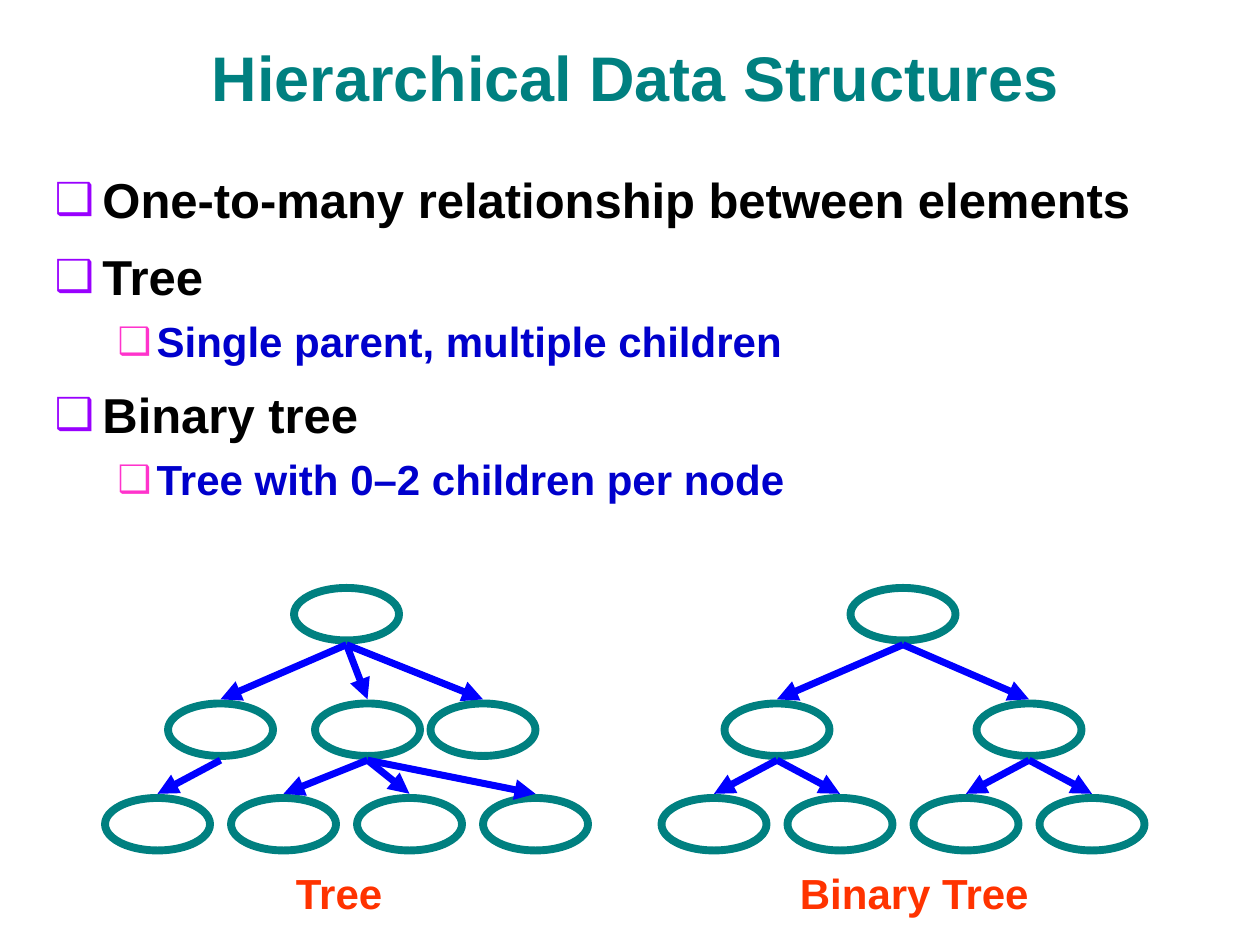
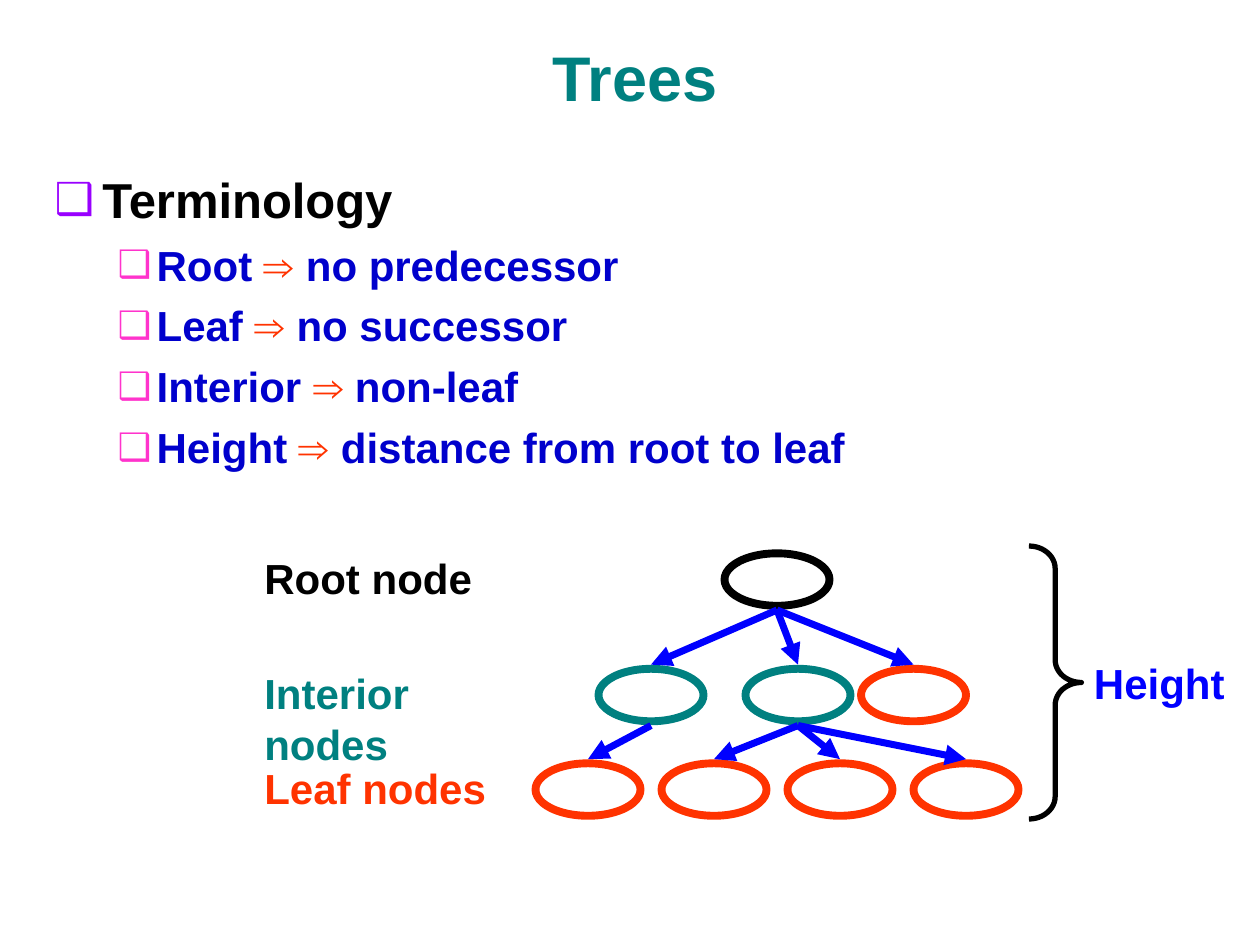
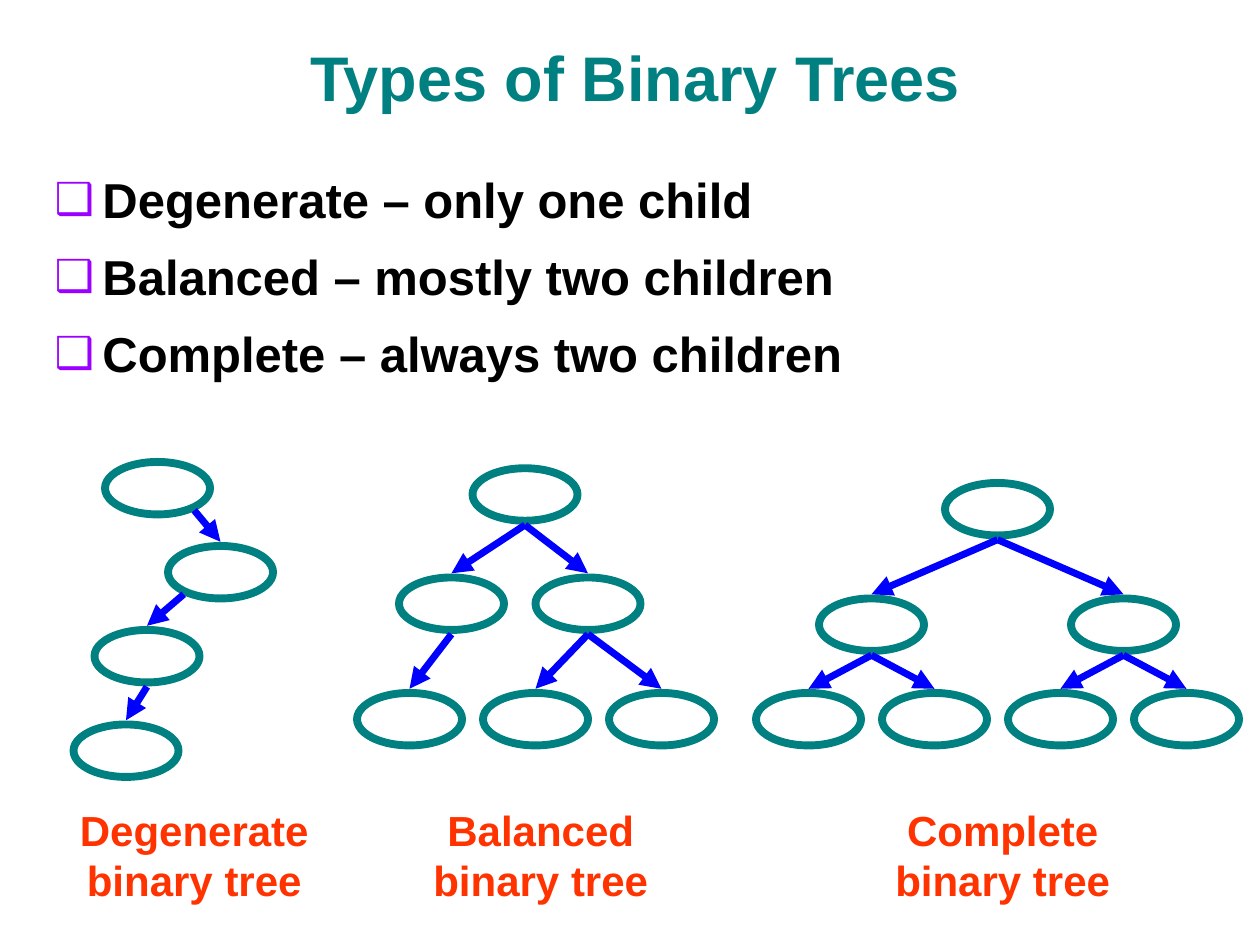
from lxml import etree
from pptx import Presentation
from pptx.dml.color import RGBColor
from pptx.enum.shapes import MSO_CONNECTOR, MSO_SHAPE
from pptx.enum.text import MSO_ANCHOR, MSO_AUTO_SIZE, PP_ALIGN
from pptx.oxml.ns import qn
from pptx.util import Inches, Pt

OVAL, BRACE = MSO_SHAPE.OVAL, MSO_SHAPE.RIGHT_BRACE
STRAIGHT = MSO_CONNECTOR.STRAIGHT
LEFT, CENTER = PP_ALIGN.LEFT, PP_ALIGN.CENTER
TOP, BOTTOM = MSO_ANCHOR.TOP, MSO_ANCHOR.BOTTOM
FIXED, GROW = MSO_AUTO_SIZE.NONE, MSO_AUTO_SIZE.SHAPE_TO_FIT_TEXT

FONT = "Arial"
BLACK = RGBColor(0x00, 0x00, 0x00)
TEAL = RGBColor(0x00, 0x80, 0x80)
BLUE = RGBColor(0x00, 0x00, 0xFF)
NAVY = RGBColor(0x00, 0x00, 0xCC)
ORANGE = RGBColor(0xFF, 0x33, 0x00)
VIOLET = RGBColor(0x99, 0x00, 0xFF)
PINK = RGBColor(0xFF, 0x33, 0xCC)

# Grid of 12 cells to the inch; a node is 10 columns by 5 rows
NODE_W, NODE_H = 10, 5
LEAF_STEP = 12
ARROW_GAP = 0.4
IMPLIES = "⇒ "

# Per list level: text size, colour, bullet colour, margin, indent, spacing
LEVELS = [
    dict(size=28, color=BLACK, bullet=VIOLET, margin=0.38, hang=0.38, before=7, line=1.1),
    dict(size=24, color=NAVY, bullet=PINK, margin=0.81, hang=0.31, before=6, line=1.0),
]

# Tree shapes: node places (column, row) and links (parent, child, side of parent)
LEAVES = [(i * LEAF_STEP, 20) for i in range(4)]
GENERAL_NODES = [(18, 0), (6, 11), (20, 11), (31, 11)] + LEAVES
GENERAL_LINKS = [(0, 1, 0), (0, 2, 0), (0, 3, 0),
                 (1, 4, 0), (2, 5, 0), (2, 6, 0), (2, 7, 0)]
COMPLETE_NODES = [(18, 0), (6, 11), (30, 11)] + LEAVES
COMPLETE_LINKS = [(0, 1, 0), (0, 2, 0),
                  (1, 3, 0), (1, 4, 0), (2, 5, 0), (2, 6, 0)]
BALANCED_NODES = [(11, 0), (4, 10.4), (17, 10.4)] + [(c, 21.4) for c, _ in LEAVES[:3]]
BALANCED_LINKS = [(0, 1, 0), (0, 2, 0), (1, 3, 0), (2, 4, 0), (2, 5, 0)]
DEGENERATE_NODES = [(3, 0), (9, 8), (2, 16), (0, 25)]
DEGENERATE_LINKS = [(0, 1, 1), (1, 2, -1), (2, 3, 0)]


def cells(*counts):
    return [Inches(count / 12) for count in counts]


def place(shape, *box):
    shape.left, shape.top, shape.width, shape.height = cells(*box)


def write(paragraph, text, size=24, color=BLACK, align=LEFT):
    paragraph.alignment = align
    run = paragraph.add_run()
    run.text = text
    run.font.name, run.font.size, run.font.bold = FONT, Pt(size), True
    run.font.color.rgb = color


def set_bullet(paragraph, level):
    properties = paragraph._p.get_or_add_pPr()
    properties.set("marL", str(Inches(level["margin"])))
    properties.set("indent", str(-Inches(level["hang"])))
    color = etree.SubElement(properties, qn("a:buClr"))
    etree.SubElement(color, qn("a:srgbClr"), val=str(level["bullet"]))
    etree.SubElement(properties, qn("a:buSzPct"), val="90000")
    etree.SubElement(properties, qn("a:buFont"), typeface=FONT)
    etree.SubElement(properties, qn("a:buChar"), char="❑")


def add_topic_slide(deck, title, items):
    """Slide with a title and a list of (level, text pieces)."""
    slide = deck.slides.add_slide(deck.slide_layouts[1])
    heading, body = slide.shapes.title, slide.placeholders[1]
    place(heading, 4, 2, 113, 9.5)
    place(body, 4, 15, 113, 70)
    for holder, anchor in ((heading, BOTTOM), (body, TOP)):
        holder.text_frame.auto_size = FIXED
        holder.text_frame.vertical_anchor = anchor
    write(heading.text_frame.paragraphs[0], title, size=36, color=TEAL, align=CENTER)

    for index, (depth, *pieces) in enumerate(items):
        frame, level = body.text_frame, LEVELS[depth]
        paragraph = frame.add_paragraph() if index else frame.paragraphs[0]
        paragraph.level = depth
        paragraph.line_spacing = level["line"]
        paragraph.space_before = Pt(level["before"])
        set_bullet(paragraph, level)
        for piece in pieces:
            color = ORANGE if piece == IMPLIES else level["color"]
            write(paragraph, piece, size=level["size"], color=color)
    return slide


def add_label(slide, text, col, row, width, color=ORANGE, wrap=False):
    label = slide.shapes.add_textbox(*cells(col, row, width, 10.8 if wrap else 6))
    label.text_frame.word_wrap = wrap
    label.text_frame.auto_size = GROW
    write(label.text_frame.paragraphs[0], text, color=color, align=CENTER if wrap else LEFT)


def add_outline(slide, kind, box, color, weight):
    shape = slide.shapes.add_shape(kind, *cells(*box))
    shape.shadow.inherit = False
    shape.fill.background()
    shape.line.color.rgb = color
    shape.line.width = Pt(weight)
    return shape


def add_arrow(slide, start, end):
    arrow = slide.shapes.add_connector(STRAIGHT, *cells(*start, *end))
    arrow.line.color.rgb = BLUE
    arrow.line.width = Pt(4)
    etree.SubElement(arrow.line._get_or_add_ln(), qn("a:tailEnd"), type="triangle")
    etree.SubElement(arrow._element.spPr, qn("a:effectLst"))


def add_tree(slide, col, row, nodes, links, colors=None):
    """Nodes at grid places, with arrows from the foot of a parent to the top of a child."""
    centers = [(col + c + NODE_W / 2, row + r) for c, r in nodes]
    for (x, y), color in zip(centers, colors or [TEAL] * len(nodes)):
        add_outline(slide, OVAL, (x - NODE_W / 2, y, NODE_W, NODE_H), color, 4.5)
    for parent, child, side in links:
        (x, y), (child_x, child_y) = centers[parent], centers[child]
        foot = NODE_H - ARROW_GAP if side else NODE_H + ARROW_GAP
        add_arrow(slide, (x + side * 3.5, y + foot), (child_x, child_y - ARROW_GAP))


def build_hierarchy(deck):
    slide = add_topic_slide(deck, "Hierarchical Data Structures", [
        (0, "One-to-many relationship between elements"),
        (0, "Tree"),
        (1, "Single parent, multiple children"),
        (0, "Binary tree"),
        (1, "Tree with 0–2 children per node"),
    ])
    add_tree(slide, 63, 56, COMPLETE_NODES, COMPLETE_LINKS)
    add_tree(slide, 10, 56, GENERAL_NODES, GENERAL_LINKS)
    add_label(slide, "Tree", 27, 82, 10.8)
    add_label(slide, "Binary Tree", 75, 82, 24.4)


def build_terminology(deck):
    terms = [("Root ", "no predecessor"), ("Leaf ", "no successor"),
             ("Interior ", "non-leaf"), ("Height ", "distance from root to leaf")]
    slide = add_topic_slide(deck, "Trees", [(0, "Terminology")] + [
        (1, term, IMPLIES, meaning) for term, meaning in terms])
    add_tree(slide, 51, 52.7, GENERAL_NODES, GENERAL_LINKS,
             [BLACK, TEAL, TEAL] + [ORANGE] * 5)
    add_label(slide, "Root node", 24, 52, 22.2, BLACK)
    add_label(slide, "Interior nodes", 24, 63, 29, TEAL)
    add_label(slide, "Leaf nodes", 24, 72, 23.5)
    # Height of the whole tree
    brace = add_outline(slide, BRACE, (98, 52, 5, 26), BLACK, 3)
    brace.adjustments[0] = 0.43
    add_label(slide, "Height", 103, 62, 14.8, BLUE)


def build_binary_types(deck):
    slide = add_topic_slide(deck, "Types of Binary Trees", [
        (0, "Degenerate – only one child"),
        (0, "Balanced – mostly two children"),
        (0, "Complete – always two children"),
    ])
    add_tree(slide, 72, 46, COMPLETE_NODES, COMPLETE_LINKS)
    add_tree(slide, 7, 44, DEGENERATE_NODES, DEGENERATE_LINKS)
    add_tree(slide, 34, 44.6, BALANCED_NODES, BALANCED_LINKS)
    for kind, col in (("Degenerate", 6), ("Balanced", 39), ("Complete", 83)):
        add_label(slide, f"{kind} binary tree", col, 76, 25, wrap=True)


def main():
    deck = Presentation()
    deck.slide_width, deck.slide_height = Inches(10), Inches(7.5)
    build_hierarchy(deck)
    build_terminology(deck)
    build_binary_types(deck)
    deck.save("out.pptx")


if __name__ == "__main__":
    main()
